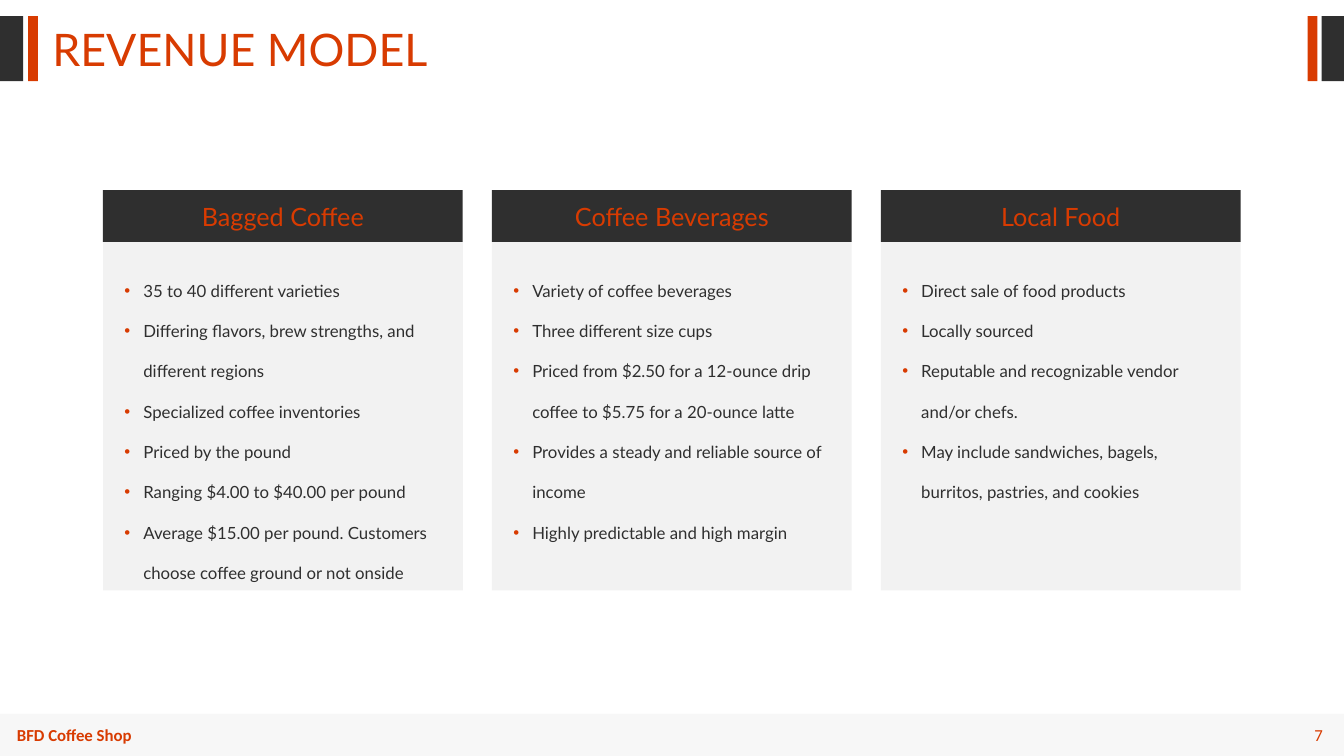
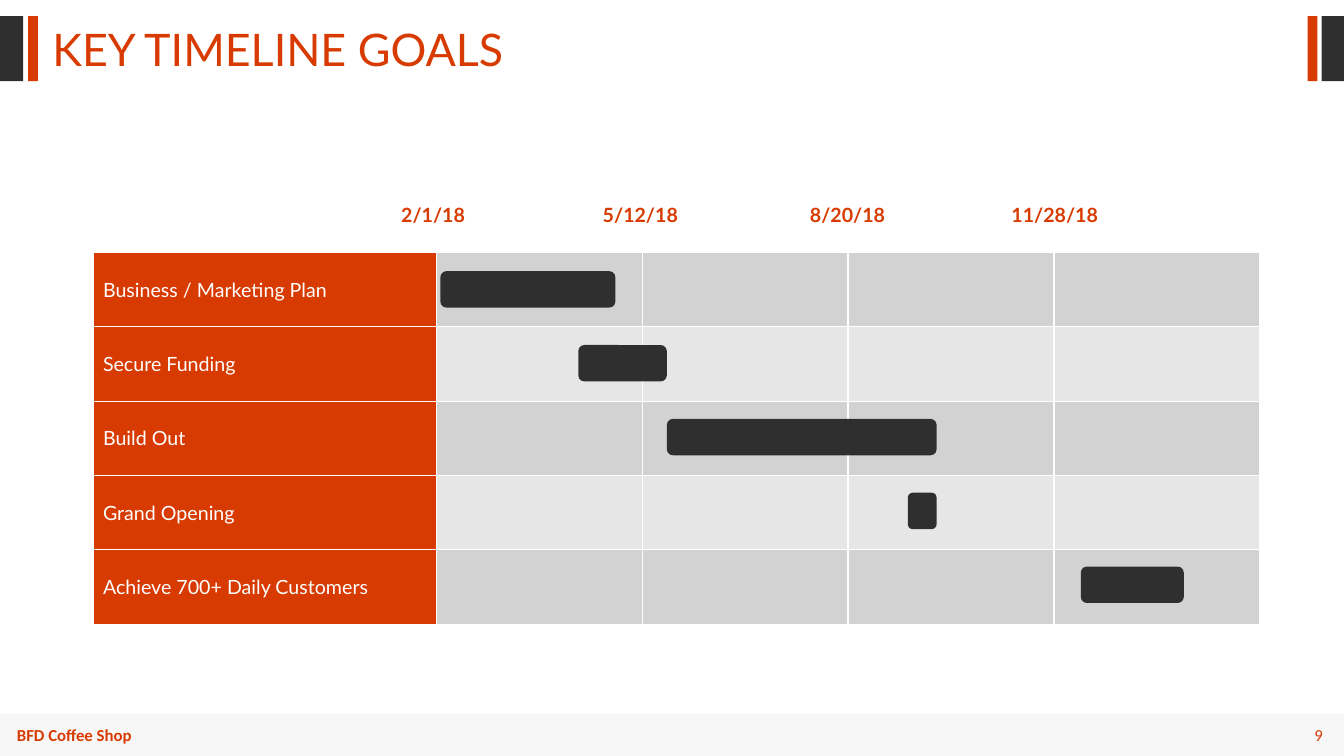
"""Build the revenue model and timeline slides of a coffee shop plan."""
from lxml import etree
from pptx import Presentation
from pptx.dml.color import RGBColor
from pptx.enum.shapes import MSO_SHAPE
from pptx.enum.text import MSO_ANCHOR, MSO_AUTO_SIZE, PP_ALIGN
from pptx.oxml.ns import qn
from pptx.util import Pt

RECTANGLE, ROUNDED = MSO_SHAPE.RECTANGLE, MSO_SHAPE.ROUNDED_RECTANGLE
LEFT, CENTER, RIGHT = PP_ALIGN.LEFT, PP_ALIGN.CENTER, PP_ALIGN.RIGHT
TOP, MIDDLE = MSO_ANCHOR.TOP, MSO_ANCHOR.MIDDLE
NO_AUTOFIT = MSO_AUTO_SIZE.NONE

COLORS = {
    "accent": "D83B01",
    "dark": "2F2F2F",
    "panel": "F2F2F2",
    "footer": "F7F7F7",
    "row_odd": "D2D2D2",
    "row_even": "E6E6E6",
    "white": "FFFFFF",
}
HEADING_FONT, FOOTER_FONT = "Lato", "Calibri"
SLIDE_WIDTH, SLIDE_HEIGHT = 960, 540
COMPARISON_LAYOUT, TITLE_ONLY_LAYOUT = 4, 5

REVENUE_STREAMS = [
    ("Bagged Coffee", [
        "35 to 40 different varieties",
        "Differing flavors, brew strengths, and different regions",
        "Specialized coffee inventories",
        "Priced by the pound",
        "Ranging $4.00 to $40.00 per pound",
        "Average $15.00 per pound. Customers choose coffee ground or not onside",
    ]),
    ("Coffee Beverages", [
        "Variety of coffee beverages",
        "Three different size cups",
        "Priced from $2.50 for a 12-ounce drip coffee to $5.75 for a 20-ounce latte",
        "Provides a steady and reliable source of income",
        "Highly predictable and high margin",
    ]),
    ("Local Food", [
        "Direct sale of food products",
        "Locally sourced",
        "Reputable and recognizable vendor and/or chefs.",
        "May include sandwiches, bagels, burritos, pastries, and cookies",
    ]),
]
DATES = ["2/1/18", "5/12/18", "8/20/18", "11/28/18"]
DAYS_PER_COLUMN = 100
GOALS = [
    ("Business / Marketing Plan", 2, 85),
    ("Secure Funding", 69, 43),
    ("Build Out", 112, 131),
    ("Grand Opening", 229, 14),
    ("Achieve 700+ Daily Customers", 313, 50),
]


def color(name):
    """Return the named colour."""
    return RGBColor.from_string(COLORS[name])


def place(shape, left, top, width, height):
    """Move and size a shape, in points."""
    shape.left, shape.top = Pt(left), Pt(top)
    shape.width, shape.height = Pt(width), Pt(height)


def style(paragraph, size, color_name, font=HEADING_FONT, bold=False, align=LEFT):
    """Format a whole paragraph."""
    paragraph.alignment = align
    paragraph.font.name = font
    paragraph.font.size = Pt(size)
    paragraph.font.bold = bold
    paragraph.font.color.rgb = color(color_name)


def add_block(slide, box, fill, kind=RECTANGLE):
    """Add a plain filled shape."""
    shape = slide.shapes.add_shape(kind, *map(Pt, box))
    shape.shadow.inherit = False
    shape.fill.solid()
    shape.fill.fore_color.rgb = color(fill)
    shape.line.fill.background()
    return shape


def add_label(slide, box, text, size, **options):
    """Add one line of accent coloured text."""
    frame = slide.shapes.add_textbox(*map(Pt, box)).text_frame
    frame.word_wrap = True
    frame.text = text
    style(frame.paragraphs[0], size, "accent", **options)


def add_base_slide(presentation, layout, title, number):
    """Add a slide with its title, side marks and footer."""
    slide = presentation.slides.add_slide(presentation.slide_layouts[layout])
    heading = slide.shapes.title
    place(heading, 30.2, 19.4, 480, 39)
    frame = heading.text_frame
    frame.text = title
    frame.auto_size = NO_AUTOFIT
    frame.vertical_anchor = TOP
    frame.paragraphs[0].line_spacing = 0.8
    style(frame.paragraphs[0], 32, "accent")

    for left, width, fill in [(0, 16.5, "dark"), (20, 7, "accent"),
                              (934, 7, "accent"), (944, 16, "dark")]:
        add_block(slide, (left, 11.5, width, 46.5), fill)

    add_block(slide, (0, 510, SLIDE_WIDTH, 30), "footer")
    add_label(slide, (5, 514, 132, 22), "BFD Coffee Shop", 12,
              font=FOOTER_FONT, bold=True)
    add_label(slide, (889, 514, 63, 22), str(number), 12,
              font=FOOTER_FONT, align=RIGHT)
    return slide


def add_bullet(paragraph, indent):
    """Give a paragraph an accent coloured bullet with a hanging indent."""
    properties = paragraph._p.get_or_add_pPr()
    properties.set("marL", str(Pt(indent)))
    properties.set("indent", str(-Pt(indent)))
    bullet_color = etree.SubElement(properties, qn("a:buClr"))
    etree.SubElement(bullet_color, qn("a:srgbClr"), val=COLORS["accent"])
    etree.SubElement(properties, qn("a:buFont"), typeface="Arial")
    etree.SubElement(properties, qn("a:buChar"), char="•")


def fill_stream_card(slide, body, box, heading, items):
    """Build a card: a dark heading band over a bulleted panel."""
    left, top, width, height = box
    band_height = 37
    band = add_block(slide, (left, top, width, band_height), "dark")
    band.text_frame.text = heading
    band.text_frame.vertical_anchor = MIDDLE
    style(band.text_frame.paragraphs[0], 18, "accent", align=CENTER)

    place(body, left, top + band_height, width, height - band_height)
    body.fill.solid()
    body.fill.fore_color.rgb = color("panel")
    frame = body.text_frame
    frame.auto_size = NO_AUTOFIT
    frame.vertical_anchor = TOP
    frame.margin_left = frame.margin_right = Pt(15.3)
    frame.margin_top, frame.margin_bottom = Pt(13), 0
    frame.text = "\n".join(items)
    for paragraph in frame.paragraphs:
        add_bullet(paragraph, 13.5)
        paragraph.line_spacing = 2.0
        paragraph.space_before = Pt(0)
        style(paragraph, 12, "dark")


def build_revenue_slide(presentation):
    """Build the slide with three revenue stream cards."""
    slide = add_base_slide(presentation, COMPARISON_LAYOUT, "REVENUE MODEL", 7)
    bodies = [shape for shape in slide.placeholders
              if shape.placeholder_format.idx > 0]
    for spare in bodies[len(REVENUE_STREAMS):]:
        spare.element.getparent().remove(spare.element)
    card_width, gap = 257, 20.8
    for index, (heading, items) in enumerate(REVENUE_STREAMS):
        box = (73.6 + index * (card_width + gap), 135.8, card_width, 286)
        fill_stream_card(slide, bodies[index], box, heading, items)


def format_cell(cell, fill):
    """Fill a cell and draw thin white borders around it."""
    properties = cell._tc.get_or_add_tcPr()
    for side in ("lnL", "lnR", "lnT", "lnB"):
        border = etree.SubElement(properties, qn(f"a:{side}"), w=str(Pt(1)))
        solid = etree.SubElement(border, qn("a:solidFill"))
        etree.SubElement(solid, qn("a:srgbClr"), val=COLORS["white"])
    cell.fill.solid()
    cell.fill.fore_color.rgb = color(fill)
    cell.vertical_anchor = MIDDLE


def add_goal_table(slide, box, name_width):
    """Add the grid with goal names in its first column."""
    left, top, width, height = box
    columns = len(DATES) + 1
    frame = slide.shapes.add_table(len(GOALS), columns, *map(Pt, box))
    table = frame.table
    table.first_row = table.horz_banding = False
    for index, column in enumerate(table.columns):
        column.width = Pt((width - name_width) / len(DATES) if index else name_width)
    for row, (name, _, _) in enumerate(GOALS):
        table.rows[row].height = Pt(height / len(GOALS))
        for column in range(columns):
            band = "row_even" if row % 2 else "row_odd"
            format_cell(table.cell(row, column), band if column else "accent")
        name_cell = table.cell(row, 0)
        name_cell.text = name
        style(name_cell.text_frame.paragraphs[0], 14, "white")


def add_gantt(slide, box, name_width):
    """Add the goal table with its date labels and bars."""
    left, top, width, height = box
    add_goal_table(slide, box, name_width)
    start = left + name_width
    day_width = (width - name_width) / len(DATES) / DAYS_PER_COLUMN

    label_width, label_pitch = 90, 148
    for index, date in enumerate(DATES):
        label_left = start - 2.2 + index * label_pitch - label_width / 2
        add_label(slide, (label_left, top - 39, label_width, 24.5), date, 14,
                  bold=True, align=CENTER)

    bar_height, bar_pitch = 26, 52.75
    for index, (_, first_day, days) in enumerate(GOALS):
        bar = (start + first_day * day_width, top + 13.3 + index * bar_pitch,
               days * day_width, bar_height)
        add_block(slide, bar, "dark", ROUNDED)


def build_timeline_slide(presentation):
    """Build the slide with the timeline of goals."""
    slide = add_base_slide(presentation, TITLE_ONLY_LAYOUT, "KEY TIMELINE GOALS", 9)
    add_gantt(slide, (66.4, 180.4, 833.6, 265.5), 245.2)


def main():
    """Build and save the presentation."""
    presentation = Presentation()
    presentation.slide_width = Pt(SLIDE_WIDTH)
    presentation.slide_height = Pt(SLIDE_HEIGHT)
    build_revenue_slide(presentation)
    build_timeline_slide(presentation)
    presentation.save("out.pptx")


if __name__ == "__main__":
    main()
